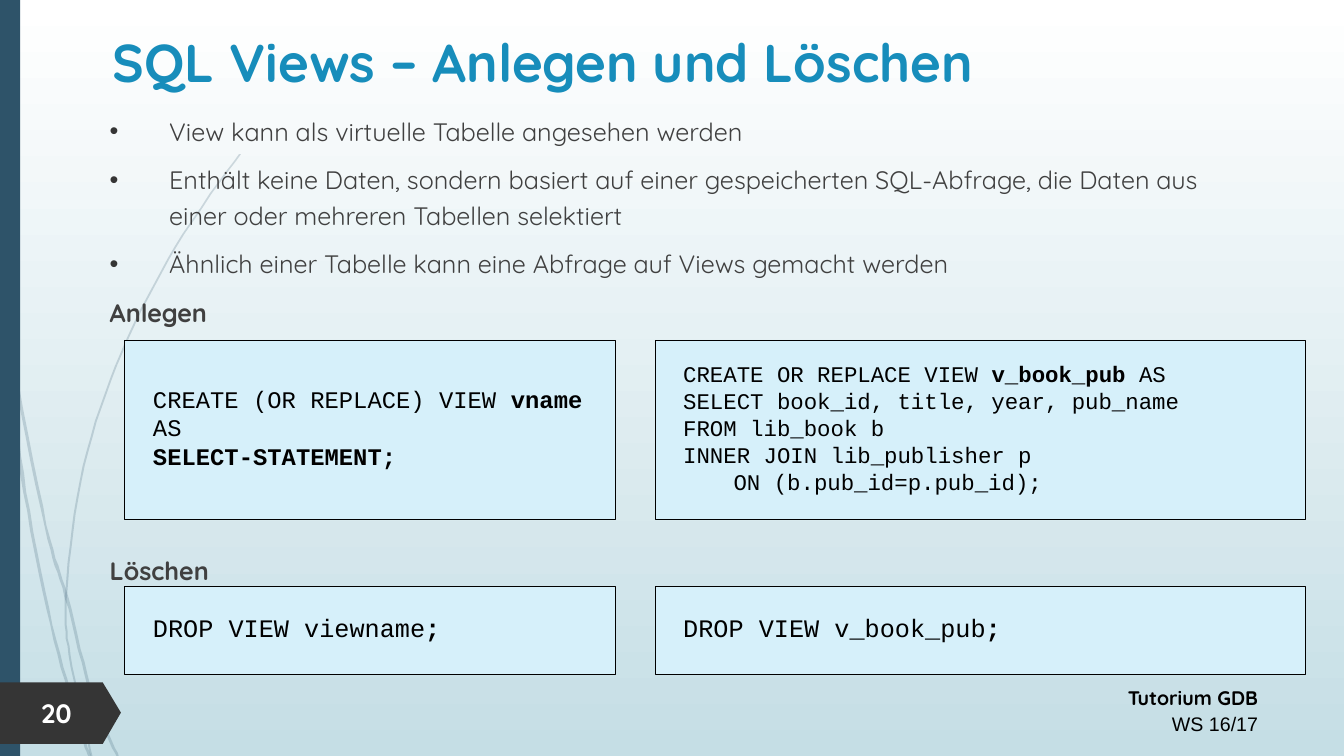
from lxml.etree import SubElement
from pptx import Presentation
from pptx.dml.color import RGBColor
from pptx.enum.shapes import MSO_SHAPE as Shape
from pptx.enum.text import MSO_ANCHOR as Anchor, PP_ALIGN as Align
from pptx.oxml.ns import qn
from pptx.util import Pt

COLORS = {
    "sky": "FFFFFF", "mist": "C5DEE5", "navy": "2E5369", "tag": "353535",
    "title": "178DBB", "body": "404040", "code": "D6F0FA",
    "black": "000000", "white": "FFFFFF",
}
SANS, MONO = "Quicksand", "Courier New"
GRID = Pt(0.72)  # unit of the outlines below
CURVE_STEPS = 8

# Width of each blade of grass and the points its middle line runs through
BLADES = [
    (3, [(11, 350), (45, 521), (66, 593), (92, 693), (117, 751)]),
    (3, [(8, 350), (22, 470), (51, 620), (77, 714), (89, 751)]),
    (2, [(238, 153), (174, 245), (121, 349), (83, 462), (66, 585),
         (69, 650), (91, 751)]),
]
PAGE_TAG = [(0, 677), (102, 677), (120, 707), (102, 738), (0, 738)]


def rgb(name):
    return RGBColor.from_string(COLORS[name])


def paint(shape, color, opacity=100):
    shape.shadow.inherit = False
    shape.fill.solid()
    shape.fill.fore_color.rgb = rgb(color)
    shape.line.fill.background()
    if opacity < 100:
        tint = shape.fill._xPr.find(qn("a:solidFill"))[0]
        SubElement(tint, qn("a:alpha"), val=str(opacity * 1000))


def smooth(points):
    """Run a Catmull-Rom curve through the points."""
    padded = [points[0], *points, points[-1]]
    curve = [points[0]]
    for i in range(len(points) - 1):
        for step in range(1, CURVE_STEPS + 1):
            t = step / CURVE_STEPS
            curve.append(tuple(
                b + t / 2 * (c - a + t * (2 * a - 5 * b + 4 * c - d
                                          + t * (3 * (b - c) + d - a)))
                for a, b, c, d in zip(*padded[i:i + 4])))
    return curve


def ribbon(points, width):
    curve = smooth(points)
    left = [(x - width / 2, y) for x, y in curve]
    right = [(x + width / 2, y) for x, y in reversed(curve)]
    return left + right


def add_outline(page, points, color, opacity=100):
    builder = page.shapes.build_freeform(*points[0], scale=GRID)
    builder.add_line_segments(points[1:], close=True)
    paint(builder.convert_to_shape(), color, opacity)


def indent(para, left, hanging=0, bullet=None):
    props = para._p.get_or_add_pPr()
    props.set("marL", str(Pt(left)))
    props.set("indent", str(-Pt(hanging)))
    if bullet:
        tint = SubElement(props, qn("a:buClr"))
        SubElement(tint, qn("a:srgbClr"), val=COLORS["tag"])
        SubElement(props, qn("a:buFont"), typeface="Arial")
        SubElement(props, qn("a:buChar"), char=bullet)


def style(para, size, color, font=SANS, bold=False):
    para.font.size = Pt(size)
    para.font.name = font
    para.font.bold = bold
    para.font.color.rgb = rgb(color)


def add_box(page, left, top, width, height, anchor=Anchor.TOP):
    frame = page.shapes.add_textbox(Pt(left), Pt(top), Pt(width), Pt(height)).text_frame
    frame.word_wrap = True
    frame.vertical_anchor = anchor
    return frame


def next_para(frame, index):
    return frame.add_paragraph() if index else frame.paragraphs[0]


def add_body(page, top, height, bullets, heading):
    frame = add_box(page, 71.3, top, 832.3, height)
    for i, text in enumerate(bullets + [heading]):
        para = next_para(frame, i)
        para.text = text
        para.line_spacing = 1.17
        para.space_before = Pt(9.5 if i else 0)
        if text != heading:
            indent(para, 42.5, 42.5, "•")
        style(para, 18, "body", bold=text == heading)


def add_code(page, left, top, width, height, size, lines):
    """Each line is a list of spans, plain and bold by turns; a tab indents it."""
    box = page.shapes.add_shape(Shape.RECTANGLE, Pt(left), Pt(top), Pt(width), Pt(height))
    paint(box, "code")
    box.line.color.rgb = rgb("black")
    box.line.width = Pt(0.75)
    frame = box.text_frame
    frame.word_wrap = True
    frame.vertical_anchor = Anchor.MIDDLE
    frame.margin_left, frame.margin_right = Pt(20), Pt(7.2)
    frame.margin_top, frame.margin_bottom = 0, Pt(3.6)
    for i, spans in enumerate(lines):
        para = next_para(frame, i)
        para.alignment = Align.LEFT
        if spans[0].startswith("\t"):
            indent(para, 36)
        style(para, size, "black", MONO)
        for j, text in enumerate(spans):
            if text:
                span = para.add_run()
                span.text = text.lstrip("\t")
                span.font.bold = j % 2 == 1


def add_background(page):
    fill = page.background.fill
    fill.gradient()
    fill.gradient_angle = 270
    for stop, color, position in zip(fill.gradient_stops, ("sky", "mist"), (0, 1)):
        stop.color.rgb = rgb(color)
        stop.position = position
    for width, points in BLADES:
        add_outline(page, ribbon(points, width), "navy", 20)
    paint(page.shapes.add_shape(Shape.RECTANGLE, 0, 0, Pt(14.4), Pt(540)), "navy")


def add_footer(page):
    frame = add_box(page, 531.4, 483.8, 374.4, 46)
    for i, (text, font) in enumerate([("Tutorium GDB", SANS), ("WS 16/17", "Arial")]):
        para = next_para(frame, i)
        para.text = text
        para.alignment = Align.RIGHT
        para.line_spacing = 1.14
        style(para, 14, "black", font, bold=i == 0)
    add_outline(page, PAGE_TAG, "tag")
    number = add_box(page, 22.3, 494, 50.4, 30.2, Anchor.MIDDLE).paragraphs[0]
    number.text = "20"
    style(number, 19, "white", bold=True)


def main():
    deck = Presentation()
    deck.slide_width, deck.slide_height = Pt(960), Pt(540)
    page = deck.slides.add_slide(deck.slide_layouts[6])
    add_background(page)
    add_footer(page)

    title = add_box(page, 44, 14.4, 688.3, 58.3, Anchor.MIDDLE).paragraphs[0]
    title.text = "SQL Views – Anlegen und Löschen"
    title.alignment = Align.CENTER
    style(title, 38, "title", bold=True)

    add_body(page, 75.6, 168, [
        "View kann als virtuelle Tabelle angesehen werden",
        "Enthält keine Daten, sondern basiert auf einer gespeicherten SQL-Abfrage, "
        "die Daten aus einer oder mehreren Tabellen selektiert",
        "Ähnlich einer Tabelle kann eine Abfrage auf Views gemacht werden",
    ], "Anlegen")
    add_body(page, 389.2, 34, [], "Löschen")

    syntax, example = (89.3, 350.6), (468, 464.4)  # left and width of each column
    create, drop = (243.4, 127.4), (419, 62.6)  # top and height of each row
    for (left, width), (top, height), size, lines in [
        (syntax, create, 17, [["CREATE (OR REPLACE) VIEW ", "vname ", "AS"],
                              ["", "SELECT-STATEMENT;"]]),
        (example, create, 16, [["CREATE OR REPLACE VIEW ", "v_book_pub ", "AS"],
                               ["SELECT book_id, title, year, pub_name"],
                               ["FROM lib_book b"],
                               ["INNER JOIN lib_publisher p"],
                               ["\tON (b.pub_id=p.pub_id);"]]),
        (syntax, drop, 18, [["DROP VIEW viewname", ";"]]),
        (example, drop, 18, [["DROP VIEW v_book_pub", ";"]]),
    ]:
        add_code(page, left, top, width, height, size, lines)
    deck.save("out.pptx")


if __name__ == "__main__":
    main()
